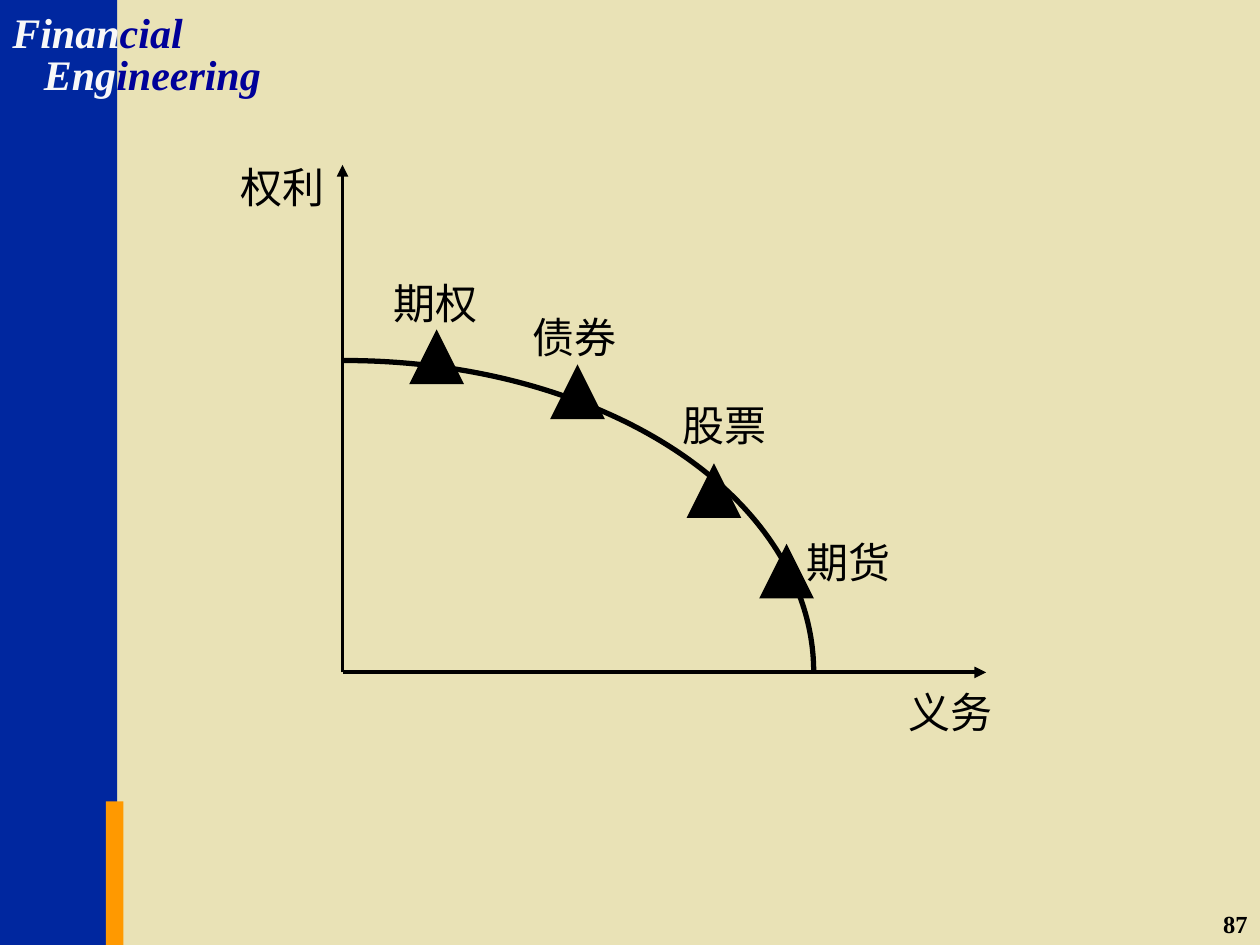
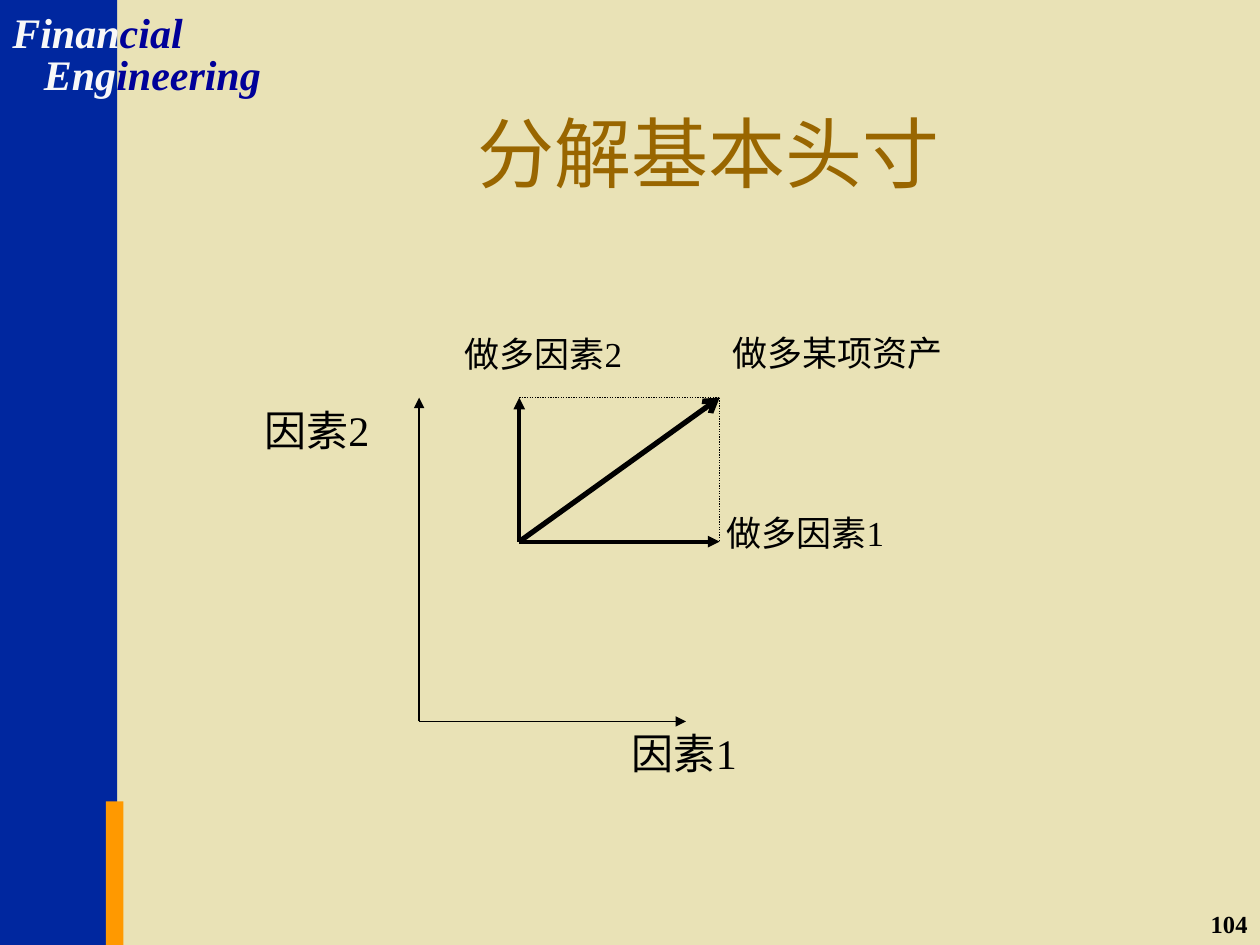
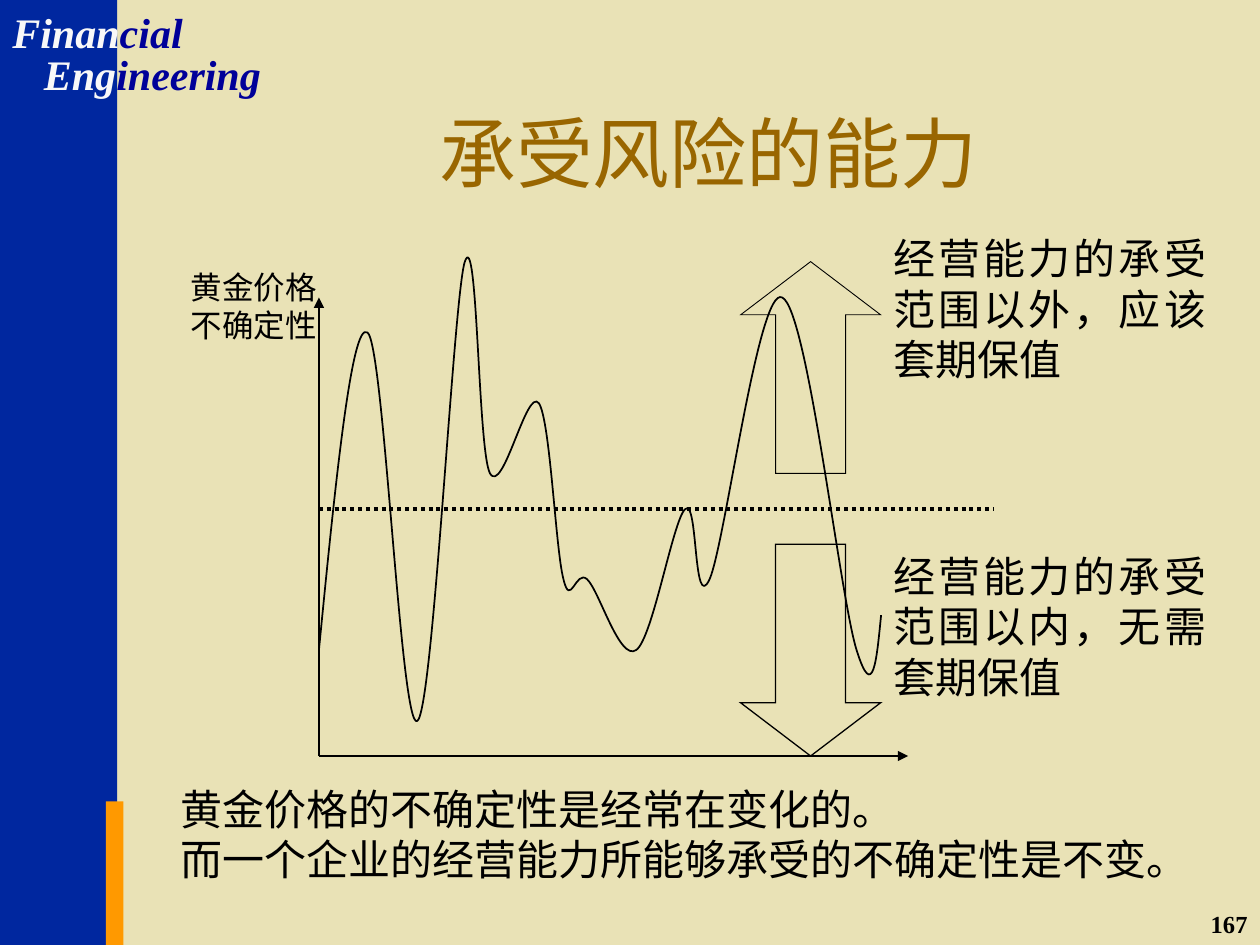
from dataclasses import dataclass
from typing import NamedTuple

from lxml.etree import SubElement
from pptx import Presentation
from pptx.dml.color import RGBColor
from pptx.enum.dml import MSO_LINE
from pptx.enum.shapes import MSO_CONNECTOR, MSO_SHAPE
from pptx.enum.text import MSO_ANCHOR, PP_ALIGN
from pptx.oxml.ns import qn
from pptx.slide import Slide
from pptx.util import Pt

LATIN, CJK = "Times New Roman", "Noto Sans CJK SC"
BLACK, SAND, BLUE, ORANGE = "000000", "E9E2B6", "00279F", "FF9900"
WHITE, NAVY, BROWN = "F8F8F8", "000099", "996600"

Point = tuple[float, float]


@dataclass
class Label:
    """A text box; lines holds one string for each paragraph."""
    lines: tuple[str, ...]
    left: float
    top: float
    width: float
    height: float = 36
    size: float = 24
    font: str = LATIN
    color: str = BLACK
    align: PP_ALIGN = PP_ALIGN.LEFT
    anchor: MSO_ANCHOR = MSO_ANCHOR.TOP
    bold: bool = False
    italic: bool = False


class Line(NamedTuple):
    start: Point
    end: Point
    weight: float = 0.75
    head: str = ""
    dotted: bool = False


class Band(NamedTuple):
    left: float
    top: float
    width: float
    height: float
    color: str


class Brand(NamedTuple):
    on_band: str
    off_band: str
    left: float
    top: float
    width: float


BANDS = (Band(0, 0, 67, 540, BLUE), Band(60.5, 458, 10, 82, ORANGE))
BRANDS = (Brand("Finan", "cial", 0, 0, 116),
          Brand("Eng", "ineering", 18, 24, 143))


def rgb(color: str) -> RGBColor:
    return RGBColor.from_string(color)


def add_label(slide: Slide, label: Label):
    box = slide.shapes.add_textbox(Pt(label.left), Pt(label.top),
                                   Pt(label.width), Pt(label.height))
    frame = box.text_frame
    frame.word_wrap = True
    frame.vertical_anchor = label.anchor
    frame.text = "\n".join(label.lines)
    for paragraph in frame.paragraphs:
        paragraph.alignment = label.align
        font = paragraph.font
        font.size, font.name = Pt(label.size), label.font
        font.bold, font.italic = label.bold, label.italic
        font.color.rgb = rgb(label.color)
        defaults = paragraph._p.pPr.find(qn("a:defRPr"))
        SubElement(defaults, qn("a:ea")).set("typeface", CJK)
    return frame


def add_line(slide: Slide, line: Line) -> None:
    connector = slide.shapes.add_connector(
        MSO_CONNECTOR.STRAIGHT, *(Pt(v) for v in line.start + line.end))
    connector.line.color.rgb = rgb(BLACK)
    connector.line.width = Pt(line.weight)
    if line.dotted:
        connector.line.dash_style = MSO_LINE.ROUND_DOT
    if line.head:
        SubElement(connector.line._ln, qn("a:tailEnd")).set("type", line.head)
    SubElement(connector._element.spPr, qn("a:effectLst"))


def add_preset(slide: Slide, kind: MSO_SHAPE, left: float, top: float,
               width: float, height: float, fill: str = "",
               weight: float = 0):
    """Draw a shape; no fill colour leaves it hollow, no weight unlined."""
    shape = slide.shapes.add_shape(kind, Pt(left), Pt(top),
                                   Pt(width), Pt(height))
    shape.shadow.inherit = False
    if fill:
        shape.fill.solid()
        shape.fill.fore_color.rgb = rgb(fill)
    else:
        shape.fill.background()
    if weight:
        shape.line.color.rgb = rgb(BLACK)
        shape.line.width = Pt(weight)
        SubElement(shape.line._ln, qn("a:miter")).set("lim", "800000")
    else:
        shape.line.fill.background()
    return shape


def add_curve(slide: Slide, knots: list[Point], weight: float) -> None:
    """Draw joined cubic curves: a start, then two controls and an end each."""
    (start_x, start_y), *others = knots
    builder = slide.shapes.build_freeform(Pt(start_x), Pt(start_y))
    builder.add_line_segments([(Pt(x), Pt(y)) for x, y in others],
                              close=False)
    curve = builder.convert_to_shape()
    outline = next(curve._element.iter(qn("a:path")))
    segments = outline.findall(qn("a:lnTo"))
    for first in range(0, len(segments), 3):
        cubic = SubElement(outline, qn("a:cubicBezTo"))
        for segment in segments[first:first + 3]:
            cubic.append(segment[0])
            outline.remove(segment)
    curve.shadow.inherit = False
    curve.fill.background()
    curve.line.color.rgb = rgb(BLACK)
    curve.line.width = Pt(weight)


def add_axes(slide: Slide, origin: Point, right: float, top: float,
             weight: float = 0.75) -> None:
    x, y = origin
    add_line(slide, Line(origin, (right, y), weight, "triangle"))
    add_line(slide, Line(origin, (x, top), weight, "triangle"))


def add_base_slide(prs, number: int, title: str = "") -> Slide:
    slide = prs.slides.add_slide(prs.slide_layouts[6])
    for band in BANDS:
        add_preset(slide, MSO_SHAPE.RECTANGLE, *band)
    for brand in BRANDS:
        frame = add_label(slide, Label(
            (brand.on_band,), brand.left, brand.top, brand.width,
            color=WHITE, bold=True, italic=True))
        ending = frame.paragraphs[0].add_run()
        ending.text = brand.off_band
        ending.font.color.rgb = rgb(NAVY)
    add_label(slide, Label((str(number),), 570, 516, 150, 24, 14,
                           align=PP_ALIGN.RIGHT, bold=True))
    if title:
        add_label(slide, Label((title,), 108, 41.5, 594, 90, 44, color=BROWN,
                               align=PP_ALIGN.CENTER,
                               anchor=MSO_ANCHOR.MIDDLE))
    return slide


def build_rights_slide(prs) -> None:
    slide = add_base_slide(prs, 87)
    add_axes(slide, (195.75, 384.25), 563.5, 94.25, 2.25)
    add_curve(slide, [(196.5, 206), (250, 206), (301.5, 216), (345.5, 235.5),
                      (420, 268), (465, 324), (465, 384)], 3)
    for left, top in ((235.5, 190.5), (316, 210.5), (394, 267), (435.5, 313)):
        add_preset(slide, MSO_SHAPE.ISOSCELES_TRIANGLE, left, top, 28, 28,
                   BLACK, 2)
    for name, left, top in (("权利", 130.25, 88.5), ("义务", 512, 389),
                            ("期权", 218, 155), ("债券", 297.25, 174.5),
                            ("股票", 383, 224.5), ("期货", 453.75, 303)):
        add_label(slide, Label((name,), left, top, 66, font=CJK))


def build_positions_slide(prs) -> None:
    slide = add_base_slide(prs, 104, "分解基本头寸")
    add_axes(slide, (239.5, 412.25), 392, 227.25)
    left, right, top, bottom = 296.75, 411.25, 227.25, 309.5
    add_line(slide, Line((left, bottom), (right, top), 3, "arrow"))
    add_axes(slide, (left, bottom), right, top, 2.25)
    add_line(slide, Line((right, top), (right, bottom), dotted=True))
    add_line(slide, Line((left, top), (right, top), dotted=True))
    for text, x, y, width, size in (("因素1", 354, 412.25, 172, 24),
                                    ("因素2", 144, 227.5, 152.5, 24),
                                    ("做多某项资产", 411.25, 186, 152.5, 20),
                                    ("做多因素1", 408, 289, 152.5, 20),
                                    ("做多因素2", 258.25, 186.5, 134, 20)):
        add_label(slide, Label((text,), x, y, width, 62, size,
                               align=PP_ALIGN.JUSTIFY))


def build_risk_slide(prs) -> None:
    slide = add_base_slide(prs, 167, "承受风险的能力")
    add_axes(slide, (182.25, 432), 519, 170)
    add_label(slide, Label(("黄金价格", "不确定性"), 102, 149.5, 96.5, 115, 18,
                           align=PP_ALIGN.JUSTIFY))
    add_curve(slide, [
        (182.25, 371.5),
        (191.5, 277), (201, 183), (210, 190),
        (219.5, 196.5), (229, 418.5), (238.5, 412),
        (247.5, 405.5), (259, 173), (265.5, 150),
        (273, 126), (273, 257), (280, 270.5),
        (287.5, 283.5), (301, 220.5), (308, 230.5),
        (314.5, 240.5), (317.5, 314.5), (322, 331),
        (326, 348), (329, 325), (335.5, 331),
        (342.5, 337.5), (354, 378), (363.5, 371.5),
        (373, 365), (384.5, 297.5), (391.5, 291),
        (399, 283.5), (396, 351.5), (405.5, 331),
        (414.5, 310.5), (433.5, 162.5), (447, 170),
        (461.5, 176.5), (480, 341.5), (489.5, 371.5),
        (499, 402), (501, 376.5), (503.5, 351.5)], 1)
    add_line(slide, Line((182.25, 291), (567.5, 291), 2.25, dotted=True))
    for kind, arrow_top, weight, text, text_top in (
            (MSO_SHAPE.UP_ARROW, 149.5, 0.5,
             "经营能力的承受范围以外，应该套期保值", 129.5),
            (MSO_SHAPE.DOWN_ARROW, 311, 0.75,
             "经营能力的承受范围以内，无需套期保值", 311)):
        arrow = add_preset(slide, kind, 423.25, arrow_top, 80, 121,
                           weight=weight)
        arrow.adjustments[1] = 0.38
        add_label(slide, Label((text,), 503.25, text_top, 193, 121,
                               align=PP_ALIGN.JUSTIFY))
    add_label(slide, Label(("黄金价格的不确定性是经常在变化的。",
                            "而一个企业的经营能力所能够承受的不确定性是不变。"),
                           96.25, 444, 600, 65))


def main() -> None:
    prs = Presentation()
    prs.slide_width, prs.slide_height = Pt(720), Pt(540)
    backdrop = prs.slide_master.background.fill
    backdrop.solid()
    backdrop.fore_color.rgb = rgb(SAND)
    build_rights_slide(prs)
    build_positions_slide(prs)
    build_risk_slide(prs)
    prs.save("out.pptx")


if __name__ == "__main__":
    main()
